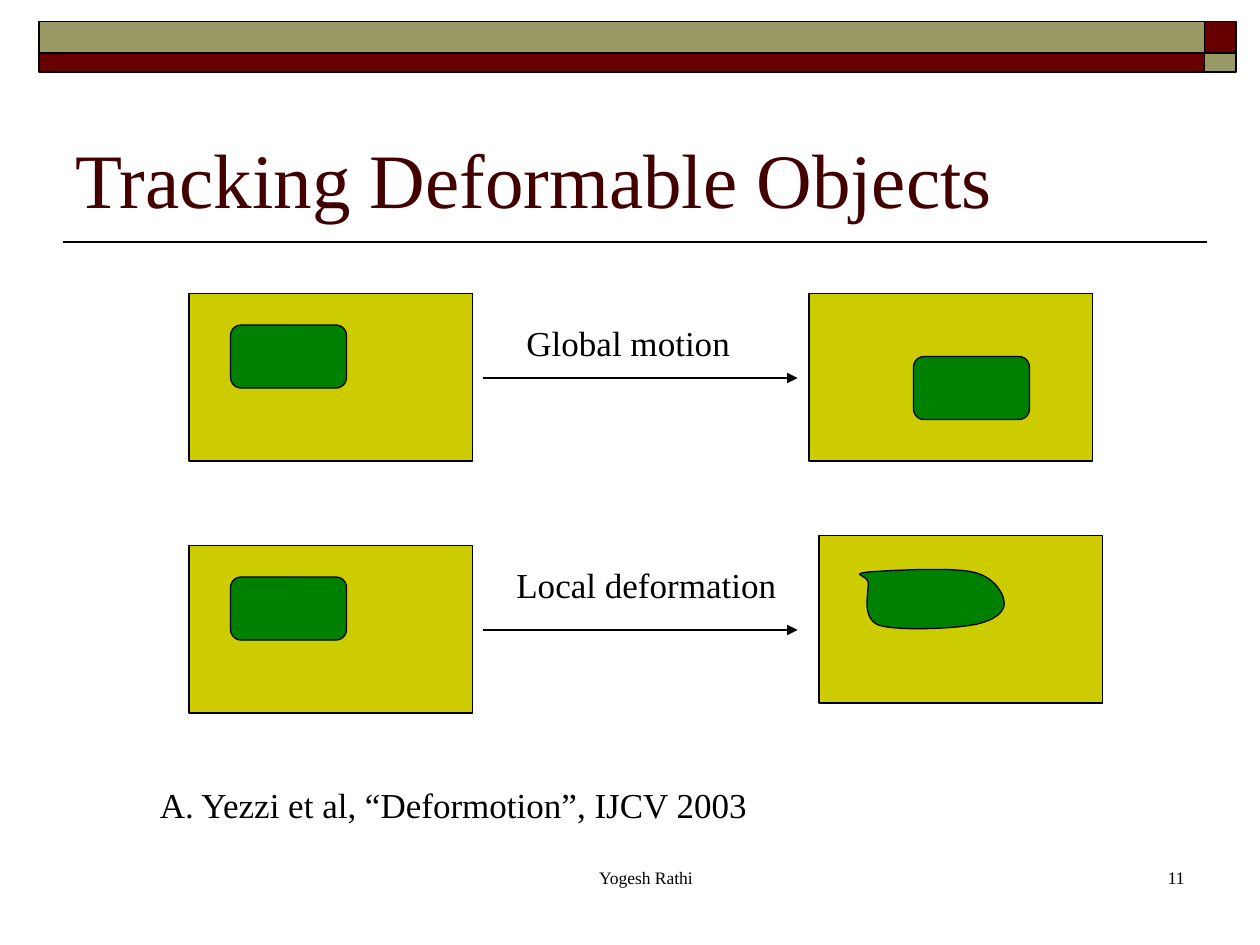
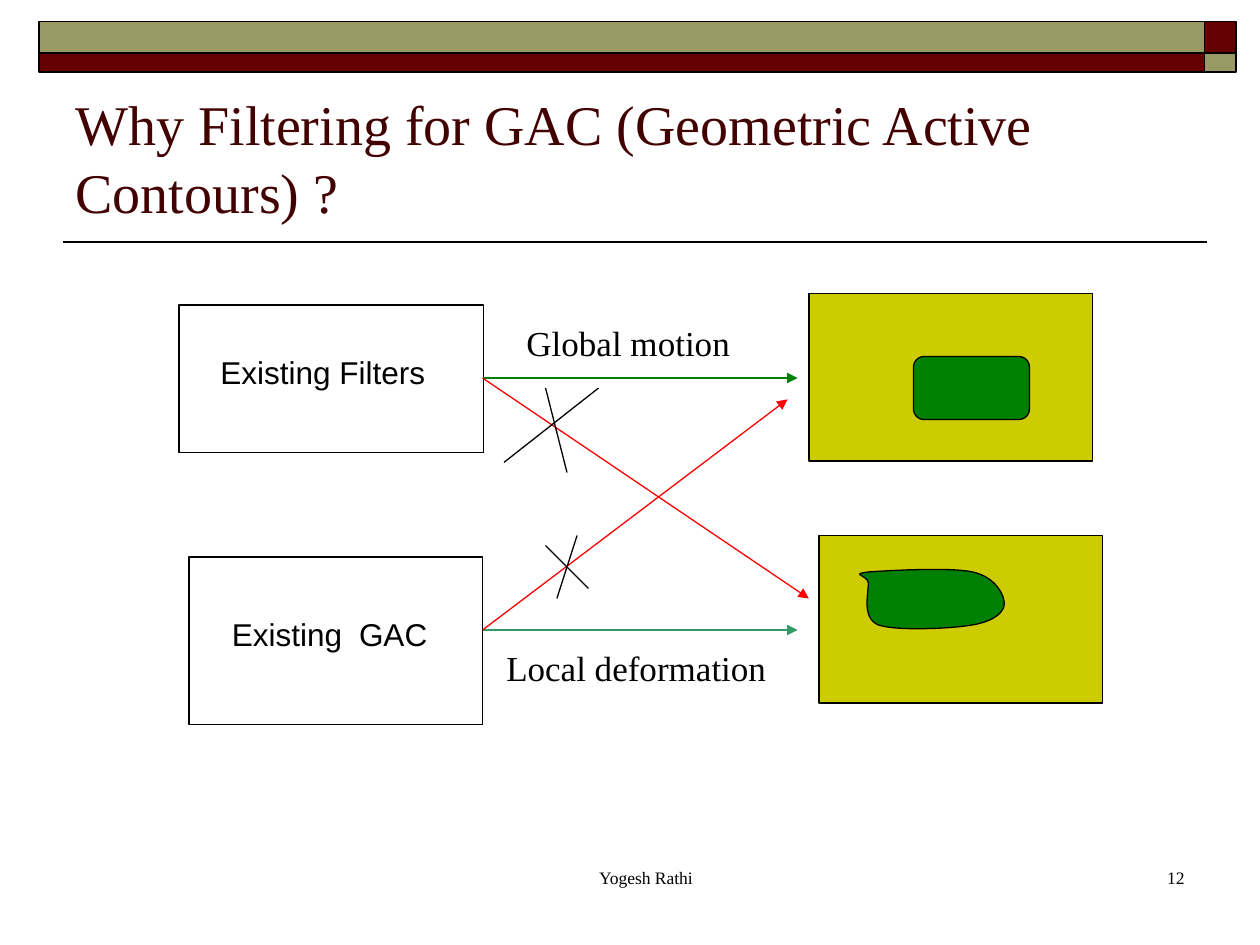
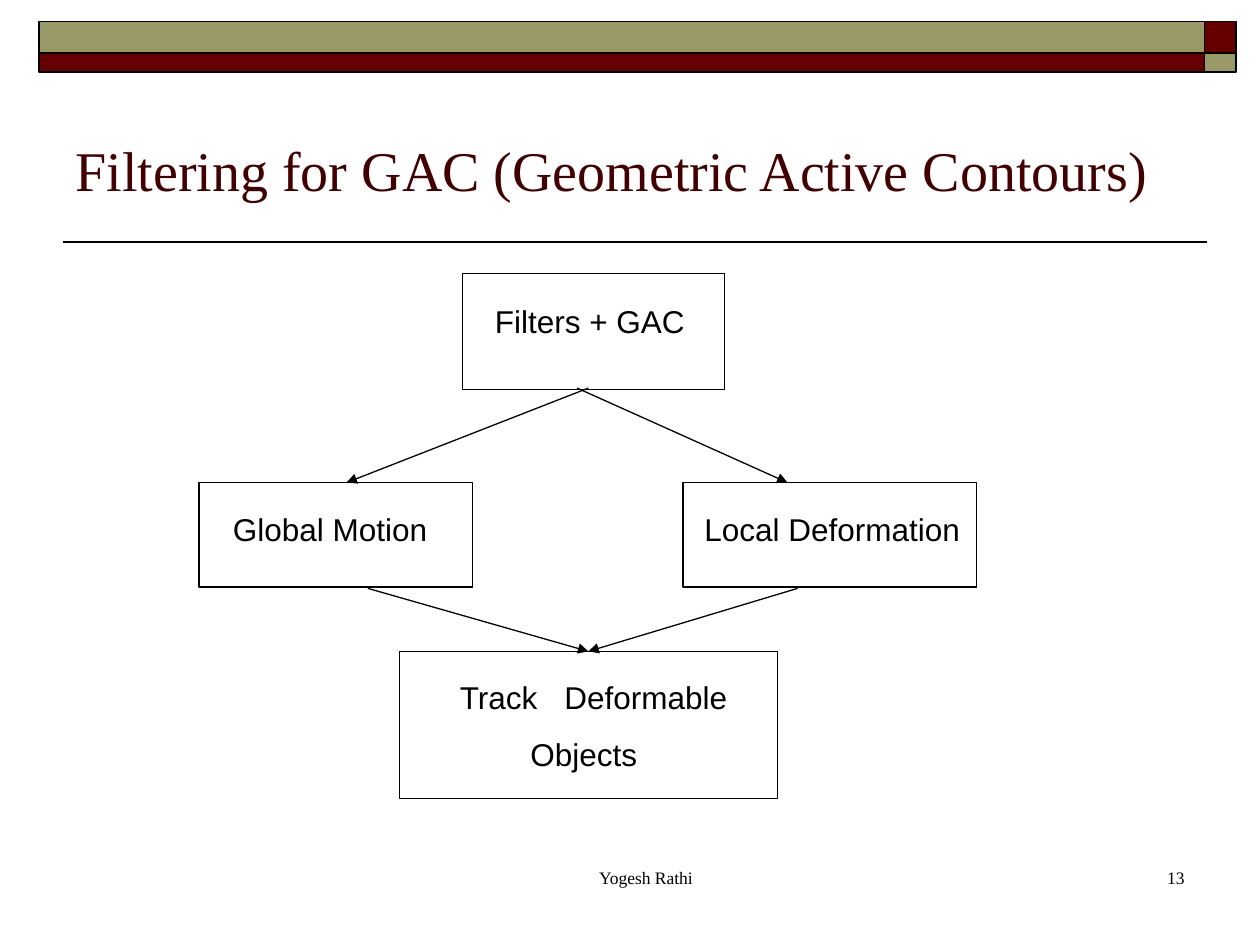
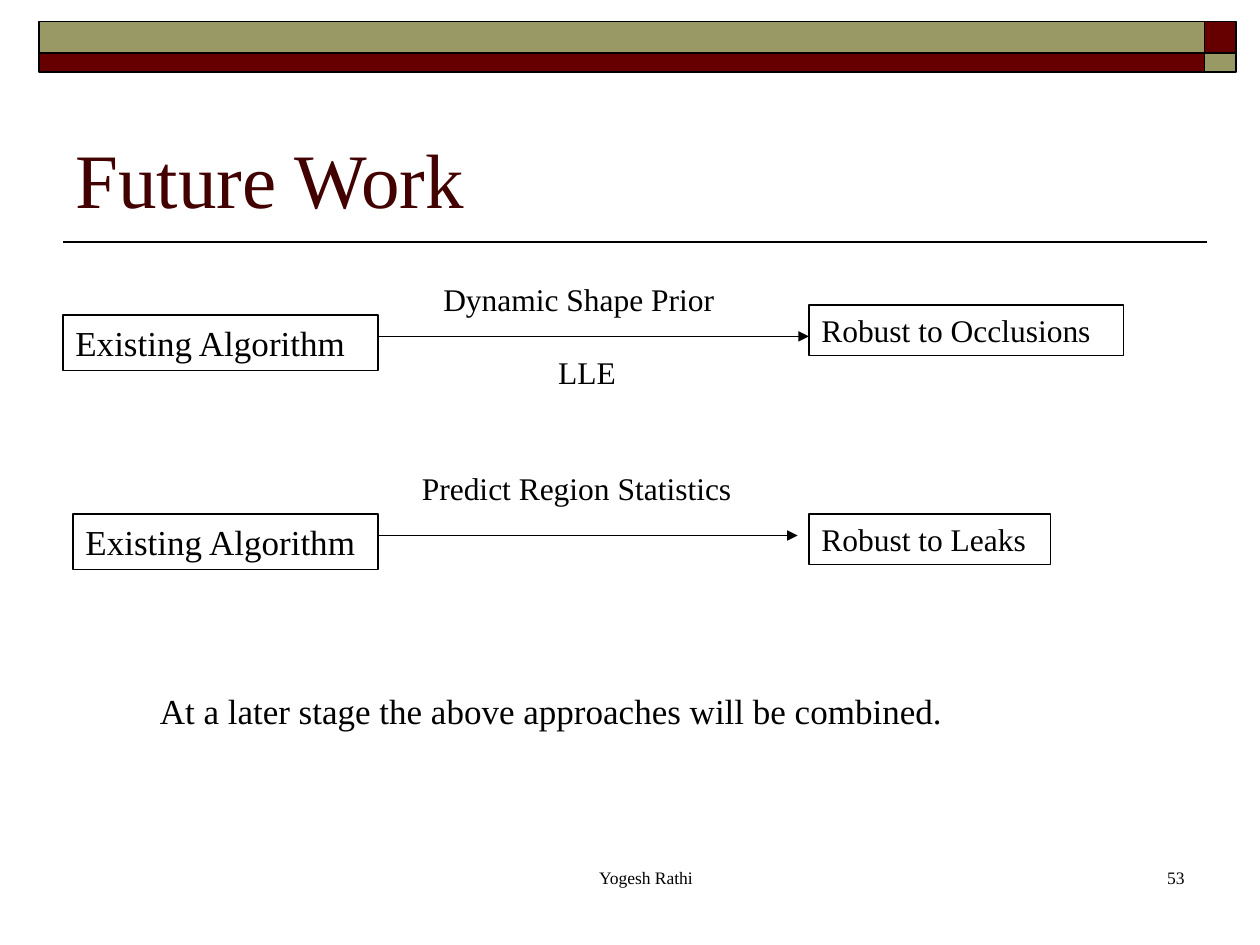
from dataclasses import dataclass

from lxml import etree
from pptx import Presentation
from pptx.dml.color import RGBColor
from pptx.enum.shapes import MSO_CONNECTOR as Link, MSO_SHAPE as Preset
from pptx.enum.text import MSO_ANCHOR as Anchor, MSO_AUTO_SIZE as AutoSize, PP_ALIGN as Align
from pptx.oxml.ns import qn
from pptx.util import Inches, Pt


@dataclass(frozen=True)
class Theme:
    serif: str = "Times New Roman"
    sans: str = "Arial"
    ink: str = "000000"
    title: str = "420000"
    maroon: str = "660000"
    olive: str = "999966"
    scene: str = "CCCC00"
    target: str = "008000"
    local: str = "339966"
    blocked: str = "FF0000"
    title_size: int = 44
    long_title_size: int = 32
    label_size: int = 20
    box_size: int = 18
    footer_size: int = 10
    rule: float = 1
    outline: float = 0.75


theme = Theme()


def add_box(slide, at, text="", size=theme.label_size, font=theme.serif, preset=None,
            fill=None, border=None, inset=0.1, tab=None, align=Align.LEFT):
    place = [Inches(length) for length in at]
    if preset is None:
        box = slide.shapes.add_textbox(*place)
    else:
        box = slide.shapes.add_shape(preset, *place)
        box.shadow.inherit = False
    if fill:
        box.fill.solid()
        box.fill.fore_color.rgb = RGBColor.from_string(fill)
    else:
        box.fill.background()
    if border:
        box.line.color.rgb = RGBColor.from_string(theme.ink)
        box.line.width = Pt(border)
    if text:
        frame = box.text_frame
        frame.word_wrap = True
        frame.margin_left = Inches(inset)
        frame.text = text
        for order, paragraph in enumerate(frame.paragraphs):
            if tab:
                tabs = etree.SubElement(paragraph._p.get_or_add_pPr(), qn("a:tabLst"))
                etree.SubElement(tabs, qn("a:tab"), pos=str(Inches(tab)), algn="l")
            if order:
                paragraph.space_before = Pt(11.2)
            paragraph.alignment = align
            paragraph.font.name = font
            paragraph.font.size = Pt(size)
            paragraph.font.color.rgb = RGBColor.from_string(theme.ink)
    return box


def add_line(slide, ends, color=theme.ink, width=theme.outline, arrow=True):
    line = slide.shapes.add_connector(Link.STRAIGHT, *[Inches(length) for length in ends])
    line.line.color.rgb = RGBColor.from_string(color)
    line.line.width = Pt(width)
    properties = line.element.spPr
    if arrow:
        etree.SubElement(properties.find(qn("a:ln")), qn("a:tailEnd"), type="triangle")
    etree.SubElement(properties, qn("a:effectLst"))
    return line


deck = Presentation()
deck.slide_width = Inches(10)
deck.slide_height = Inches(7.5)
layout = deck.slide_layouts[5]
for holder in list(layout.placeholders):
    if holder.placeholder_format.idx:
        holder.element.getparent().remove(holder.element)

pages = []
for title, size, at, number in [
    ("Tracking Deformable Objects", theme.title_size, (0.5, 0.58, 9, 1.25), "11"),
    ("Why Filtering for GAC (Geometric Active Contours) ?", theme.long_title_size,
     (0.5, 0.58, 9.33, 1.25), "12"),
    ("Filtering for GAC (Geometric Active Contours)", theme.long_title_size,
     (0.5, 0.83, 9, 0.83), "13"),
    ("Future Work", theme.title_size, (0.5, 0.58, 9, 1.25), "53"),
]:
    page = deck.slides.add_slide(layout)
    heading = page.shapes.title
    heading.left, heading.top, heading.width, heading.height = [Inches(length) for length in at]
    heading.text_frame.text = title
    heading.text_frame.word_wrap = True
    heading.text_frame.auto_size = AutoSize.NONE
    heading.text_frame.vertical_anchor = Anchor.BOTTOM
    paragraph = heading.text_frame.paragraphs[0]
    paragraph.alignment = Align.LEFT
    paragraph.font.name = theme.serif
    paragraph.font.size = Pt(size)
    paragraph.font.color.rgb = RGBColor.from_string(theme.title)
    if not pages:
        masthead = [add_line(page, (9.58, 1.92, 0.5, 1.92), width=theme.rule, arrow=False)]
        for band, color in [
            ((9.56, 0.17, 0.25, 0.25), theme.maroon),
            ((0.31, 0.17, 9.25, 0.25), theme.olive),
            ((0.31, 0.42, 9.25, 0.15), theme.maroon),
            ((9.56, 0.42, 0.25, 0.15), theme.olive),
        ]:
            masthead.append(add_box(page, band, preset=Preset.RECTANGLE, fill=color,
                                    border=theme.rule))
        for part in masthead:
            layout.shapes.element.append(part.element)
    add_box(page, (3.42, 6.83, 3.17, 0.5), "Yogesh Rathi", theme.footer_size,
            inset=0.34, align=Align.CENTER)
    add_box(page, (7.42, 6.83, 2.08, 0.5), number, theme.footer_size, align=Align.RIGHT)
    pages.append(page)

tracking, why_filtering, combined, future = pages

contour_start = (6.89, 4.54)
contour_curves = [
    ((7.03, 4.53), (7.54, 4.5), (7.72, 4.54)),
    ((7.9, 4.58), (7.97, 4.72), (7.97, 4.79)),
    ((7.97, 4.86), (7.89, 4.93), (7.72, 4.96)),
    ((7.56, 4.99), (7.11, 5.01), (6.97, 4.96)),
    ((6.83, 4.9), (6.9, 4.69), (6.89, 4.62)),
    ((6.87, 4.56), (6.75, 4.56), (6.89, 4.54)),
]
steps = 16
contour = []
start = contour_start
for pull_out, pull_in, end in contour_curves:
    for step in range(1, steps + 1):
        t = step / steps
        contour.append([
            Inches((1 - t) ** 3 * a + 3 * (1 - t) ** 2 * t * b + 3 * (1 - t) * t ** 2 * c + t ** 3 * d)
            for a, b, c, d in zip(start, pull_out, pull_in, end)
        ])
    start = end

scene_size = (2.25, 1.33)
target_size = (0.92, 0.5)
for page, scenes, targets in [
    (tracking, [(1.5, 2.33), (6.42, 2.33), (1.5, 4.33), (6.5, 4.25)],
     [(1.83, 2.58), (7.25, 2.83), (1.83, 4.58)]),
    (why_filtering, [(6.42, 2.33), (6.5, 4.25)], [(7.25, 2.83)]),
]:
    for corner in scenes:
        add_box(page, corner + scene_size, preset=Preset.RECTANGLE, fill=theme.scene,
                border=theme.outline)
    for corner in targets:
        add_box(page, corner + target_size, preset=Preset.ROUNDED_RECTANGLE, fill=theme.target,
                border=theme.outline)
    outline = page.shapes.build_freeform(*[Inches(length) for length in contour_start])
    outline.add_line_segments(contour, close=True)
    deformed = outline.convert_to_shape()
    deformed.shadow.inherit = False
    deformed.fill.solid()
    deformed.fill.fore_color.rgb = RGBColor.from_string(theme.target)
    deformed.line.color.rgb = RGBColor.from_string(theme.ink)
    deformed.line.width = Pt(theme.outline)
    add_box(page, (4.08, 2.5, 2.17, 0.44), "Global motion")

for height in (3, 5):
    add_line(tracking, (3.83, height, 6.33, height))
add_box(tracking, (4, 4.42, 2.33, 0.44), "Local deformation")
add_box(tracking, (1.17, 6.17, 8.5, 0.44), "A. Yezzi et al, “Deformotion”, IJCV 2003")

add_box(why_filtering, (3.92, 5.08, 2.33, 0.44), "Local deformation")
for at in [(1.42, 2.42, 2.42, 1.17), (1.5, 4.42, 2.33, 1.33)]:
    add_box(why_filtering, at, preset=Preset.RECTANGLE, border=theme.outline)
add_box(why_filtering, (1.58, 2.75, 2.17, 0.4), "Existing Filters", theme.box_size, theme.sans,
        inset=0.17)
add_box(why_filtering, (1.67, 4.83, 2, 0.4), "Existing\tGAC", theme.box_size, theme.sans,
        inset=0.17, tab=1.01)
for ends, color in [
    ((3.83, 3, 6.33, 3), theme.target),
    ((3.83, 5, 6.33, 5), theme.local),
    ((3.83, 3, 6.42, 4.75), theme.blocked),
    ((3.83, 5, 6.25, 3.17), theme.blocked),
]:
    add_line(why_filtering, ends, color)
for cross_stroke in [
    (4, 3.67, 4.75, 3.08),
    (4.33, 3.08, 4.5, 3.75),
    (4.33, 4.33, 4.67, 4.67),
    (4.42, 4.75, 4.58, 4.25),
]:
    add_line(why_filtering, cross_stroke, arrow=False)

for at in [
    (3.67, 2.17, 2.08, 0.92),
    (1.58, 3.83, 2.17, 0.83),
    (5.42, 3.83, 2.33, 0.83),
    (3.17, 5.17, 3, 1.17),
]:
    add_box(combined, at, preset=Preset.RECTANGLE, border=theme.outline)
for at, text, inset in [
    ((3.83, 2.35, 2.25, 0.4), "Filters + GAC", 0.1),
    ((1.75, 4, 2, 0.4), "Global Motion", 0.1),
    ((5.42, 4, 2.42, 0.4), "Local Deformation", 0.17),
]:
    add_box(combined, at, text, theme.box_size, theme.sans, inset=inset)
goal = add_box(combined, (3.42, 5.33, 2.58, 0.86), "Track\tDeformable\nObjects",
               theme.box_size, theme.sans, inset=0.23, tab=0.83)
goal.text_frame.paragraphs[1]._p.get_or_add_pPr().set("marL", str(Inches(0.56)))
for ends in [
    (4.67, 3.08, 2.75, 3.83),
    (4.58, 3.08, 6.25, 3.83),
    (2.92, 4.67, 4.67, 5.17),
    (6.33, 4.67, 4.67, 5.17),
]:
    add_line(combined, ends)

for at, text, size in [
    ((0.5, 2.5, 2.5, 0.44), "Existing Algorithm", theme.label_size),
    ((6.42, 2.42, 2.5, 0.4), "Robust to Occlusions", theme.box_size),
    ((0.58, 4.08, 2.42, 0.44), "Existing Algorithm", theme.label_size),
    ((6.42, 4.08, 1.92, 0.4), "Robust to Leaks", theme.box_size),
]:
    add_box(future, at, text, size, border=theme.outline)
add_box(future, (3.42, 2.17, 2.83, 0.4), "Dynamic Shape Prior", theme.box_size)
add_box(future, (3.92, 2.75, 1.92, 0.4), "LLE", theme.box_size, inset=0.51)
add_box(future, (3.25, 3.67, 3.17, 0.4), "Predict Region Statistics", theme.box_size)
add_box(future, (1.17, 5.42, 7.17, 0.44),
        "At a later stage the above approaches will be combined.")
add_line(future, (3, 2.67, 6.42, 2.67))
add_line(future, (3, 4.25, 6.33, 4.25))

deck.save("out.pptx")
